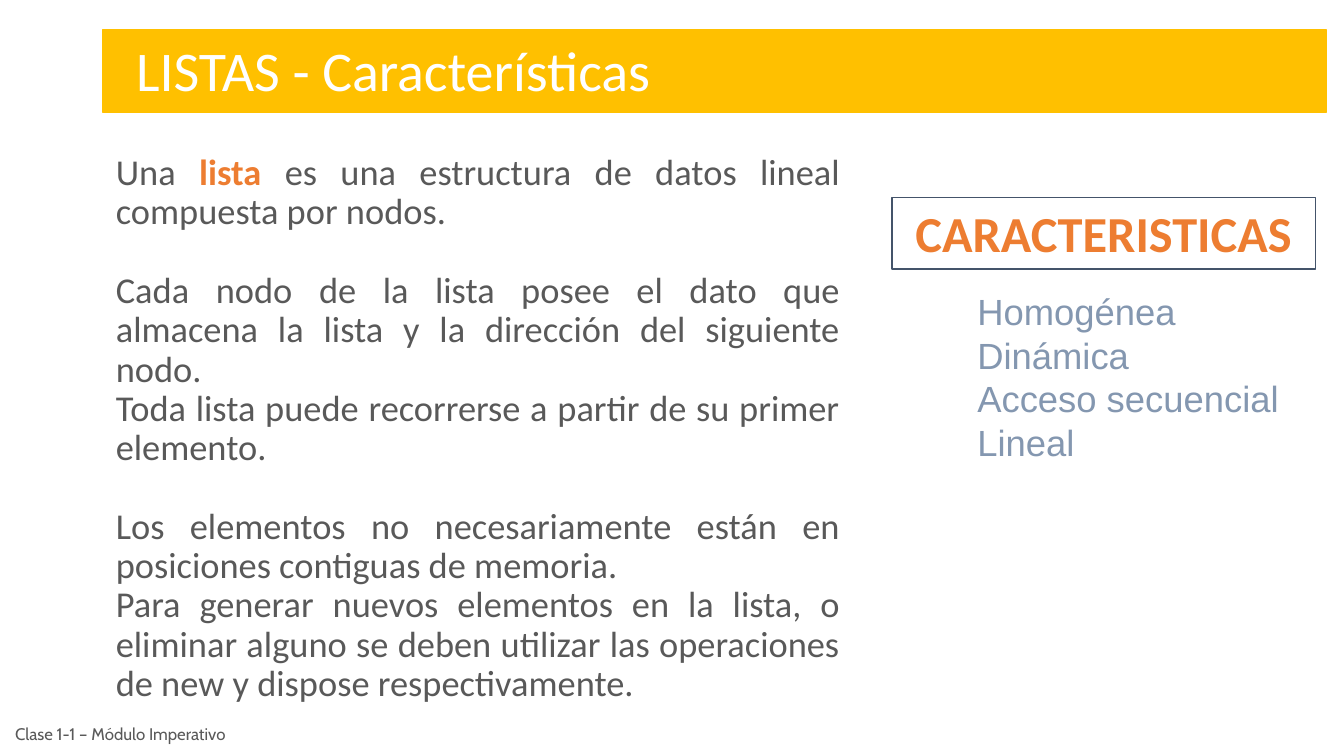
from dataclasses import dataclass
from typing import Optional

from pptx import Presentation, util as u
from pptx.dml.color import RGBColor
from pptx.enum import shapes, text

WHITE, GOLD, ORANGE = "FFFFFF", "FFC000", "ED7D31"
GREY, SLATE, NAVY = "595959", "8497B0", "44546A"


@dataclass
class Para:
    text: str  # pieces between asterisks are emphasised
    before: float = 0


@dataclass
class Block:
    left: float
    top: float
    width: float
    height: float
    paras: tuple[Para, ...] = ()
    size: float = 26
    font: str = "Calibri"
    color: str = GREY
    bold: bool = False
    align: text.PP_ALIGN = text.PP_ALIGN.LEFT
    anchor: text.MSO_ANCHOR = text.MSO_ANCHOR.TOP
    spacing: float = 1.0
    fill: Optional[str] = None
    line: Optional[str] = None
    line_width: float = 1


def rgb(value: str) -> RGBColor:
    return RGBColor.from_string(value)


def write(tf, block: Block) -> None:
    tf.word_wrap = True
    tf.vertical_anchor = block.anchor
    for i, para in enumerate(block.paras):
        p = tf.paragraphs[0] if i == 0 else tf.add_paragraph()
        p.alignment = block.align
        p.line_spacing = block.spacing
        p.space_before = u.Pt(para.before)
        for j, piece in enumerate(para.text.split("*")):
            strong = j % 2 == 1
            r = p.add_run()
            r.text = piece
            r.font.name = block.font
            r.font.size = u.Pt(block.size)
            r.font.bold = block.bold or strong
            r.font.color.rgb = rgb(ORANGE if strong else block.color)


def draw(slide, block: Block) -> None:
    box = [u.Cm(v) for v in (block.left, block.top, block.width, block.height)]
    if block.fill or block.line:
        sp = slide.shapes.add_shape(shapes.MSO_SHAPE.RECTANGLE, *box)
        sp.shadow.inherit = False
        if block.fill:
            sp.fill.solid()
            sp.fill.fore_color.rgb = rgb(block.fill)
        else:
            sp.fill.background()
        sp.line.color.rgb = rgb(block.line or block.fill)
        sp.line.width = u.Pt(block.line_width)
    else:
        sp = slide.shapes.add_textbox(*box)
    if block.paras:
        write(sp.text_frame, block)


GAP = 28.1  # one line of body text

BLOCKS = [
    # Title band
    Block(2.59, 0.76, 30.84, 2.06, fill=GOLD),
    Block(3.18, 0.76, 16.05, 1.96, (Para("LISTAS - Características"),),
          size=40, color=WHITE),
    # Explanation
    Block(2.67, 3.76, 18.77, 13.77, (
        Para("Una *lista* es una estructura de datos lineal compuesta por nodos."),
        Para("Cada nodo de la lista posee el dato que almacena la lista y la "
             "dirección del siguiente nodo.", GAP),
        Para("Toda lista puede recorrerse a partir de su primer elemento."),
        Para("Los elementos no necesariamente están en posiciones contiguas "
             "de memoria.", GAP),
        Para("Para generar nuevos elementos en la lista, o eliminar alguno se "
             "deben utilizar las operaciones de new y dispose respectivamente."),
    ), align=text.PP_ALIGN.JUSTIFY, spacing=0.9),
    # Characteristics
    Block(22.48, 4.98, 10.67, 1.8, (Para("CARACTERISTICAS"),), size=36,
          color=ORANGE, bold=True, align=text.PP_ALIGN.CENTER,
          line=NAVY, line_width=0.75),
    Block(24.38, 7.16, 8.94, 4.7, tuple(
        Para(name) for name in
        ("Homogénea", "Dinámica", "Acceso secuencial", "Lineal")
    ), font="Arial", color=SLATE),
    # Footer
    Block(0.13, 17.91, 8.1, 1.14, (Para("Clase 1-1 – Módulo Imperativo"),),
          size=12, font="Cabin", anchor=text.MSO_ANCHOR.MIDDLE),
]


def main() -> None:
    prs = Presentation()
    prs.slide_width, prs.slide_height = u.Cm(33.87), u.Cm(19.05)
    slide = prs.slides.add_slide(prs.slide_layouts[6])
    for block in BLOCKS:
        draw(slide, block)
    prs.save("out.pptx")


if __name__ == "__main__":
    main()
